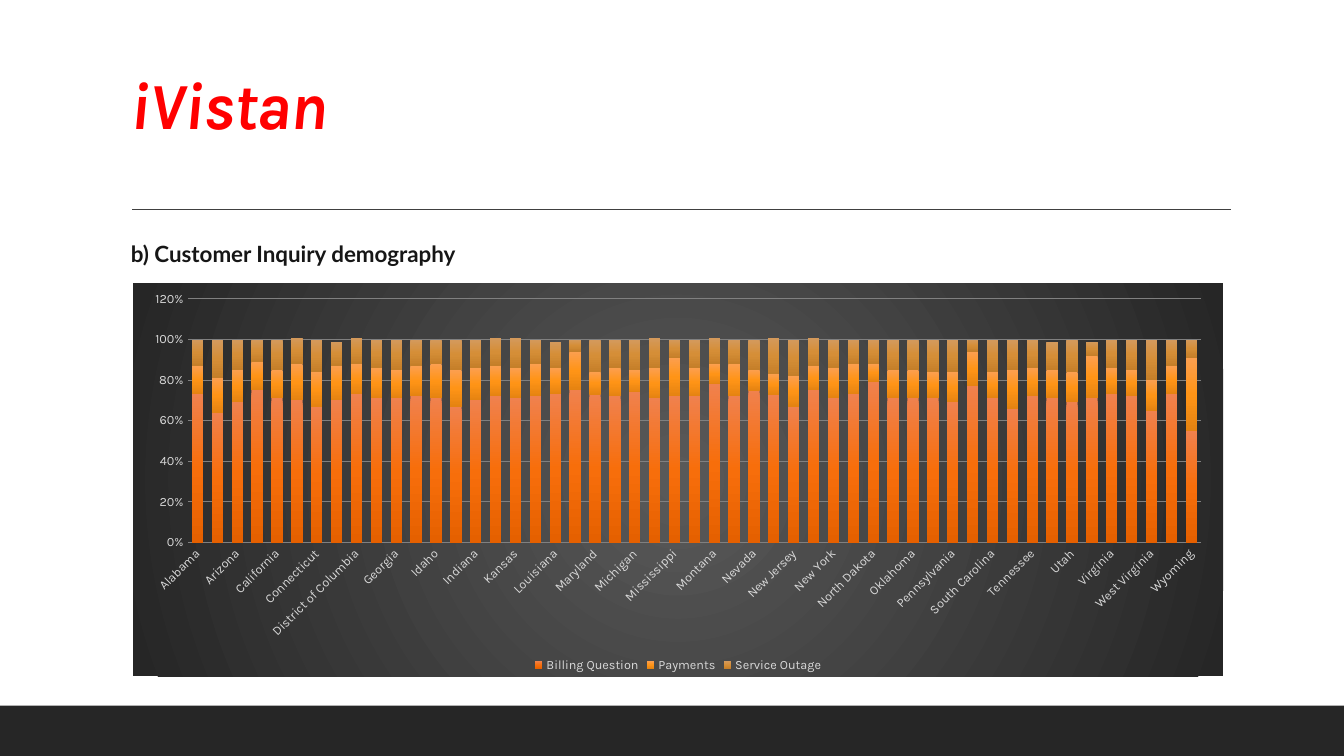
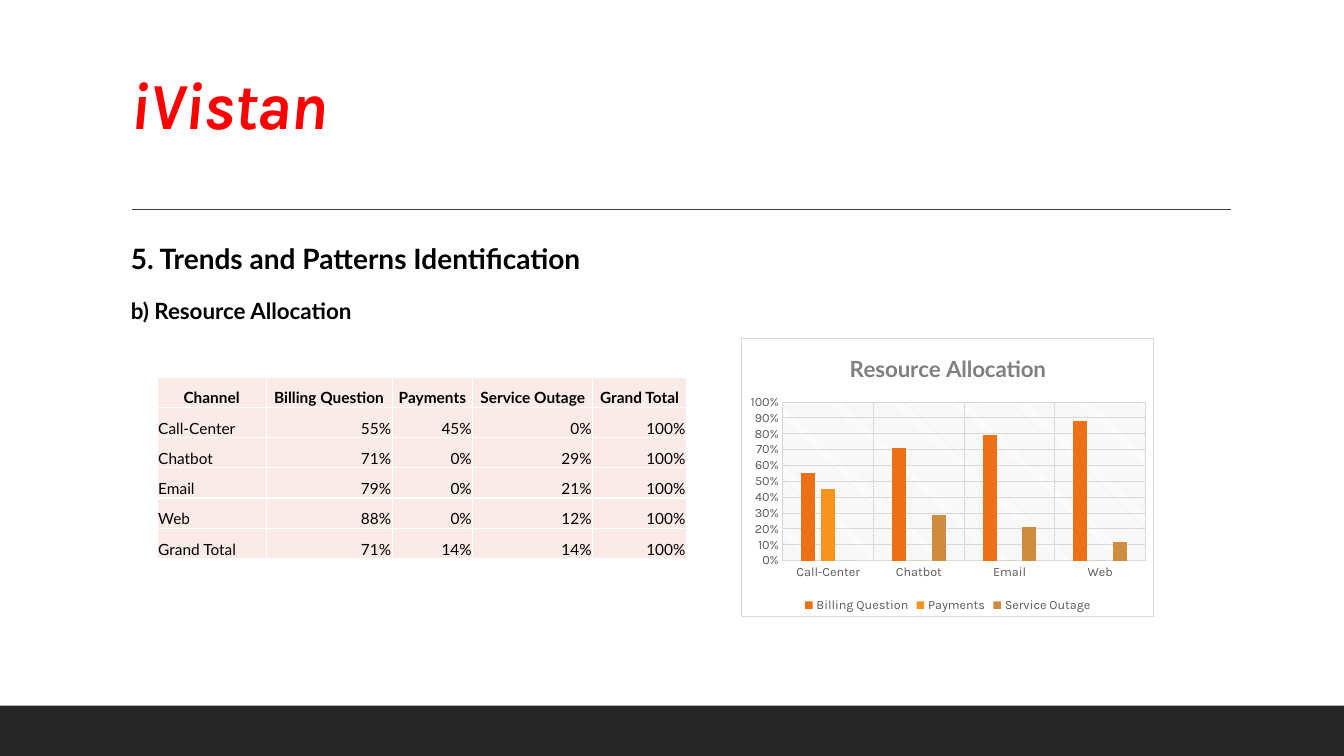
from pptx import Presentation
from pptx.chart.data import CategoryChartData
from pptx.dml.color import RGBColor
from pptx.enum.chart import XL_CHART_TYPE, XL_LEGEND_POSITION, XL_TICK_MARK
from pptx.enum.shapes import MSO_CONNECTOR, MSO_SHAPE
from pptx.enum.text import MSO_ANCHOR, PP_ALIGN
from pptx.oxml import parse_xml
from pptx.oxml.ns import nsdecls, qn
from pptx.util import Inches, Pt

STACKED, CLUSTERED = XL_CHART_TYPE.COLUMN_STACKED, XL_CHART_TYPE.COLUMN_CLUSTERED
LEGEND_BOTTOM, NO_TICK = XL_LEGEND_POSITION.BOTTOM, XL_TICK_MARK.NONE
RECTANGLE, STRAIGHT = MSO_SHAPE.RECTANGLE, MSO_CONNECTOR.STRAIGHT
BOTTOM, TOP = MSO_ANCHOR.BOTTOM, MSO_ANCHOR.TOP
LEFT, CENTER, RIGHT = PP_ALIGN.LEFT, PP_ALIGN.CENTER, PP_ALIGN.RIGHT

SLIDE_W, SLIDE_H = Inches(13.33), Inches(7.5)
HEADING_FONT, BODY_FONT = "Karla", "Lato"

BLACK = RGBColor(0x00, 0x00, 0x00)
WHITE = RGBColor(0xFF, 0xFF, 0xFF)
RED = RGBColor(0xFF, 0x00, 0x00)
INK = RGBColor(0x16, 0x16, 0x16)
BAND = RGBColor(0x26, 0x26, 0x26)
RULE = RGBColor(0x40, 0x40, 0x40)
CHARCOAL = RGBColor(0x59, 0x59, 0x59)
GREY = RGBColor(0x80, 0x80, 0x80)
LIGHT_GREY = RGBColor(0xD9, 0xD9, 0xD9)
BLUSH = RGBColor(0xFB, 0xEB, 0xE8)

INQUIRIES = ["Billing Question", "Payments", "Service Outage"]
FLAT_COLORS = ["EC7016", "F8931D", "CE8D3E"]
GRADIENTS = [
    ["F0814D", "F76E0B", "E56000"],
    ["FC9F4F", "FF9416", "E58311"],
    ["D49A5D", "D58E37", "C57F29"],
]

STATES = [
    "Alabama", "Alaska", "Arizona", "Arkansas", "California", "Colorado",
    "Connecticut", "Delaware", "District of Columbia", "Florida", "Georgia",
    "Hawaii", "Idaho", "Illinois", "Indiana", "Iowa", "Kansas", "Kentucky",
    "Louisiana", "Maine", "Maryland", "Massachusetts", "Michigan", "Minnesota",
    "Mississippi", "Missouri", "Montana", "Nebraska", "Nevada",
    "New Hampshire", "New Jersey", "New Mexico", "New York", "North Carolina",
    "North Dakota", "Ohio", "Oklahoma", "Oregon", "Pennsylvania",
    "Rhode Island", "South Carolina", "South Dakota", "Tennessee", "Texas",
    "Utah", "Vermont", "Virginia", "Washington", "West Virginia", "Wisconsin",
    "Wyoming",
]
STATE_PERCENTS = [
    [73, 64, 69, 75, 71, 70, 67, 70, 73, 71, 71, 72, 71, 67, 70, 72, 71,
     72, 73, 75, 73, 72, 74, 71, 72, 72, 78, 72, 75, 73, 67, 75, 71, 73,
     79, 71, 71, 71, 69, 77, 71, 66, 72, 71, 69, 71, 73, 72, 65, 73, 55],
    [14, 17, 16, 14, 14, 18, 17, 17, 15, 15, 14, 15, 17, 18, 16, 15, 15,
     16, 13, 19, 11, 14, 11, 15, 19, 14, 10, 16, 10, 10, 15, 12, 15, 15,
     9, 14, 14, 13, 15, 17, 13, 19, 14, 14, 15, 21, 13, 13, 15, 14, 36],
    [13, 19, 15, 11, 15, 13, 16, 12, 13, 14, 15, 13, 12, 15, 14, 14, 15,
     12, 13, 6, 16, 14, 15, 15, 9, 14, 13, 12, 15, 18, 18, 14, 14, 12,
     12, 15, 15, 16, 16, 6, 16, 15, 14, 14, 16, 7, 14, 15, 20, 13, 9],
]
CHANNEL_PERCENTS = {
    "Call-Center": [55, 45, 0],
    "Chatbot": [71, 0, 29],
    "Email": [79, 0, 21],
    "Web": [88, 0, 12],
}
OVERALL_PERCENTS = [71, 14, 14]


def area(left, top, width, height):
    """Turn percentages of the slide's size into lengths."""
    return (int(SLIDE_W * left / 100), int(SLIDE_H * top / 100),
            int(SLIDE_W * width / 100), int(SLIDE_H * height / 100))


def style_font(font, name, size, color, bold=False, italic=False):
    font.name, font.size = name, Pt(size)
    font.bold, font.italic = bold, italic
    font.color.rgb = color


def add_text(slide, box, lines, anchor=TOP):
    """Write lines of (text, font name, size, colour, italic) in bold."""
    frame = slide.shapes.add_textbox(*box).text_frame
    frame.word_wrap, frame.vertical_anchor = True, anchor
    for index, (text, name, size, color, italic) in enumerate(lines):
        paragraph = frame.add_paragraph() if index else frame.paragraphs[0]
        paragraph.text = text
        paragraph.line_spacing = 0.9 if anchor == BOTTOM else 1.1
        paragraph.space_before = Pt(12 if index else 0)
        paragraph.space_after = Pt(0 if anchor == BOTTOM else 2)
        style_font(paragraph.font, name, size, color, True, italic)
    return frame


def add_base_slide(prs, headings):
    slide = prs.slides.add_slide(prs.slide_layouts[6])
    band = slide.shapes.add_shape(RECTANGLE, *area(0, 93.33, 100, 6.67))
    band.shadow.inherit = False
    band.fill.solid()
    band.fill.fore_color.rgb = BAND
    band.line.fill.background()

    left, top, width, _ = area(9.83, 27.73, 81.77, 0)
    rule = slide.shapes.add_connector(STRAIGHT, left, top, left + width, top)
    rule.line.color.rgb, rule.line.width = RULE, Pt(1)
    rule.element.spPr.append(parse_xml(f"<a:effectLst {nsdecls('a')}/>"))

    title = add_text(slide, area(9, 4.13, 82.5, 15.6),
                     [("iVistan", HEADING_FONT, 47, RED, True)], BOTTOM)
    title.paragraphs[0].runs[0].font._element.set("spc", "-50")
    add_text(slide, area(9, 30.8, 83.4, 54.8), headings)
    return slide


def solid(color):
    return (f'<a:solidFill {nsdecls("a")}><a:srgbClr val="{color}"/>'
            "</a:solidFill>")


def gradient(colors, direction='<a:lin ang="5400000" scaled="0"/>'):
    last = len(colors) - 1
    stops = "".join(
        f'<a:gs pos="{100000 * i // last}"><a:srgbClr val="{color}"/></a:gs>'
        for i, color in enumerate(colors))
    return (f'<a:gradFill {nsdecls("a")} rotWithShape="1">'
            f"<a:gsLst>{stops}</a:gsLst>{direction}</a:gradFill>")


def radial(colors):
    return gradient(colors, '<a:path path="circle"><a:fillToRect l="50000" '
                            't="50000" r="50000" b="50000"/></a:path>')


def pattern(preset, fore, back):
    return (f'<a:pattFill {nsdecls("a")} prst="{preset}">'
            f'<a:fgClr><a:srgbClr val="{fore}"/></a:fgClr>'
            f'<a:bgClr><a:srgbClr val="{back}"/></a:bgClr></a:pattFill>')


def panel(fill, border=None):
    """Shape properties for a chart area or a plot area."""
    edge = solid(border) if border else "<a:noFill/>"
    return parse_xml(f'<c:spPr {nsdecls("c", "a")}>{fill}'
                     f'<a:ln w="9525">{edge}</a:ln></c:spPr>')


def place_plot(plot_area, shares):
    """Fix the inner plot area at shares (x, y, w, h) of the chart."""
    for layout in plot_area.findall(qn("c:layout")):
        plot_area.remove(layout)
    sizes = "".join(f'<c:{key} val="{share}"/>'
                    for key, share in zip("xywh", shares))
    plot_area.insert(0, parse_xml(
        f'<c:layout {nsdecls("c")}><c:manualLayout>'
        '<c:layoutTarget val="inner"/><c:xMode val="edge"/>'
        f'<c:yMode val="edge"/>{sizes}</c:manualLayout></c:layout>'))


def style_gridlines(axis, color):
    line = axis.major_gridlines.format.line
    line.color.rgb, line.width = color, Pt(0.75)


def add_column_chart(slide, box, kind, categories, percents, fills,
                     text_color, grid_color, top_value, step, gap, overlap,
                     plot_shares):
    data = CategoryChartData(number_format="0%")
    data.categories = categories
    for name, values in zip(INQUIRIES, percents):
        data.add_series(name, [value / 100 for value in values])
    chart = slide.shapes.add_chart(kind, *box, data).chart
    style_font(chart.font, HEADING_FONT, 10, BLACK)
    chart.has_title = False

    chart.has_legend = True
    chart.legend.position = LEGEND_BOTTOM
    chart.legend.include_in_layout = False
    style_font(chart.legend.font, HEADING_FONT, 9, text_color)

    plot = chart.plots[0]
    plot.gap_width, plot.overlap, plot.vary_by_categories = gap, overlap, False
    for series, fill in zip(chart.element.iter(qn("c:ser")), fills):
        series.get_or_add_spPr().append(parse_xml(fill))

    for axis in (chart.category_axis, chart.value_axis):
        axis.major_tick_mark = axis.minor_tick_mark = NO_TICK
        style_font(axis.tick_labels.font, HEADING_FONT, 9, text_color)
        axis.format.line.fill.background()
    values = chart.value_axis
    values.minimum_scale, values.maximum_scale = 0, top_value
    values.major_unit = step
    values.tick_labels.number_format = "0%"
    values.tick_labels.number_format_is_linked = False
    style_gridlines(values, grid_color)
    place_plot(chart.element.find(".//" + qn("c:plotArea")), plot_shares)
    return chart


def add_state_chart(slide):
    chart = add_column_chart(
        slide, area(9.9, 37.47, 81.1, 52), STACKED, STATES, STATE_PERCENTS,
        [gradient(colors) for colors in GRADIENTS], LIGHT_GREY, GREY,
        1.2, 0.2, 75, 100, (0.05, 0.04, 0.93, 0.62))
    chart.element.find(qn("c:chart")).addnext(panel(radial([CHARCOAL, BAND])))
    labels = chart.element.find(".//" + qn("c:catAx")).find(qn("c:txPr"))
    labels.find(qn("a:bodyPr")).set("rot", "-2700000")


def add_channel_chart(slide):
    chart = add_column_chart(
        slide, area(55.14, 44.67, 30.76, 36.93), CLUSTERED,
        list(CHANNEL_PERCENTS), zip(*CHANNEL_PERCENTS.values()),
        [solid(color) for color in FLAT_COLORS], CHARCOAL, LIGHT_GREY,
        1, 0.1, 267, -43, (0.1, 0.23, 0.88, 0.57))
    heading = chart.chart_title.text_frame.paragraphs[0]
    heading.text = "Resource Allocation"
    style_font(heading.font, BODY_FONT, 16, GREY, True)
    chart.chart_title.include_in_layout = False
    style_gridlines(chart.category_axis, LIGHT_GREY)
    axis_line = chart.category_axis.format.line
    axis_line.color.rgb, axis_line.width = LIGHT_GREY, Pt(0.75)
    chart.element.find(qn("c:chart")).addnext(panel(solid(WHITE), LIGHT_GREY))
    chart.element.find(".//" + qn("c:plotArea")).append(
        panel(pattern("ltDnDiag", LIGHT_GREY, WHITE)))


def fill_cell(cell, text, align, bold):
    cell.fill.solid()
    cell.fill.fore_color.rgb = BLUSH
    cell.vertical_anchor = BOTTOM
    cell.margin_left = cell.margin_right = cell.margin_top = Inches(0.01)
    cell.margin_bottom = 0
    paragraph = cell.text_frame.paragraphs[0]
    paragraph.text, paragraph.alignment = text, align
    style_font(paragraph.font, BODY_FONT, 11, BLACK, bold)
    properties = cell._tc.get_or_add_tcPr()
    for index, side in enumerate("LRTB"):
        properties.insert(index, parse_xml(
            f'<a:ln{side} {nsdecls("a")} w="12700">{solid(WHITE)}</a:ln{side}>'))


def add_channel_table(slide):
    rows = [["Channel", *INQUIRIES, "Grand Total"]]
    totals = {**CHANNEL_PERCENTS, "Grand Total": OVERALL_PERCENTS}
    for channel, percents in totals.items():
        rows.append([channel, *(f"{value}%" for value in [*percents, 100])])
    table = slide.shapes.add_table(
        len(rows), len(rows[0]), *area(11.7, 49.87, 39.38, 24)).table
    table.first_row = table.horz_banding = False
    for column, width in zip(table.columns, (1.08, 1.25, 0.8, 1.19, 0.93)):
        column.width = Inches(width)
    for r, row in enumerate(rows):
        for c, text in enumerate(row):
            align = CENTER if r == 0 else RIGHT if c else LEFT
            fill_cell(table.cell(r, c), text, align, r == 0)


def main():
    prs = Presentation()
    prs.slide_width, prs.slide_height = SLIDE_W, SLIDE_H
    demography = add_base_slide(prs, [
        ("b) Customer Inquiry demography", BODY_FONT, 16, INK, False)])
    add_state_chart(demography)
    allocation = add_base_slide(prs, [
        ("5. Trends and Patterns Identification", BODY_FONT, 20, BLACK, False),
        ("b) Resource Allocation", BODY_FONT, 16, BLACK, False)])
    add_channel_chart(allocation)
    add_channel_table(allocation)
    prs.save("out.pptx")


if __name__ == "__main__":
    main()
